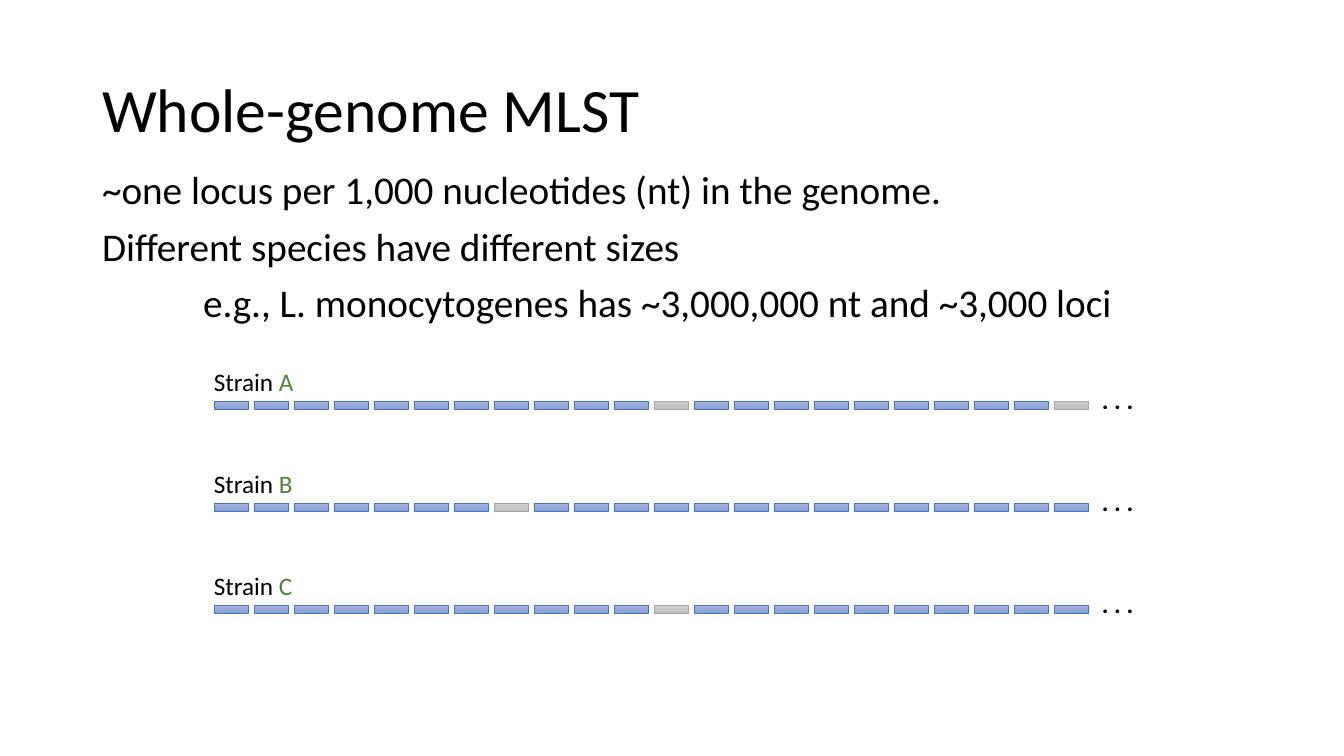
from copy import deepcopy

from pptx import Presentation
from pptx.dml.color import RGBColor
from pptx.enum.shapes import MSO_SHAPE
from pptx.enum.text import MSO_ANCHOR, MSO_AUTO_SIZE, PP_ALIGN
from pptx.oxml.ns import qn
from pptx.util import Emu, Pt

BLACK = RGBColor(0x00, 0x00, 0x00)
GREEN = RGBColor(0x54, 0x82, 0x35)
BLUE_LINE = RGBColor(0x44, 0x72, 0xC4)
GREY_LINE = RGBColor(0xA5, 0xA5, 0xA5)
BLUES = [RGBColor(0xA8, 0xB7, 0xDF), RGBColor(0x9A, 0xAB, 0xD9), RGBColor(0x88, 0x9E, 0xD7)]
GREYS = [RGBColor(0xD2, 0xD2, 0xD2), RGBColor(0xC8, 0xC8, 0xC8), RGBColor(0xC0, 0xC0, 0xC0)]


def px(*lengths):
    """Turn pixels, at 100.8 to the inch, into EMU."""
    return [Emu(round(n * 914400 / 100.8)) for n in lengths]


def add_run(p, text, size, color=BLACK):
    r = p.add_run()
    r.text = text
    r.font.name = "Calibri"
    r.font.size = Pt(size)
    r.font.color.rgb = color
    return r


prs = Presentation()
prs.slide_width, prs.slide_height = px(1344, 756)
slide = prs.slides.add_slide(prs.slide_layouts[1])

# Title and list
title = slide.shapes.title
title.left, title.top, title.width, title.height = px(92, 40, 1159, 146)
title.text_frame.vertical_anchor = MSO_ANCHOR.MIDDLE
p = title.text_frame.paragraphs[0]
p.alignment = PP_ALIGN.LEFT
p.line_spacing = 0.9
add_run(p, "Whole-genome MLST", 44)

body = slide.placeholders[1]
body.left, body.top, body.width, body.height = px(92, 166, 1159, 514)
tf = body.text_frame
lines = [
    ("~one locus per 1,000 nucleotides (nt) in the genome.", 0),
    ("Different species have different sizes", 0),
    ("e.g., L. monocytogenes has ~3,000,000 nt and ~3,000 loci", 101),
]
for i, (text, indent) in enumerate(lines):
    p = tf.add_paragraph() if i else tf.paragraphs[0]
    pPr = p._p.get_or_add_pPr()
    pPr.set("marL", str(px(indent)[0]))
    pPr.set("indent", "0")
    pPr.append(pPr.makeelement(qn("a:buNone"), {}))
    p.line_spacing = 0.9
    p.space_before = Pt(10 if i else 0)
    add_run(p, text, 28)

# One row of loci per strain, with the missing loci in grey
LOCI = 22
ROW_PITCH = 102
strains = [("A", {11, 21}), ("B", {7}), ("C", {11})]
for row, (strain, missing) in enumerate(strains):
    y = 401 + row * ROW_PITCH
    group = slide.shapes.add_group_shape()
    for i in range(LOCI):
        sp = group.shapes.add_shape(MSO_SHAPE.RECTANGLE, *px(214 + 40 * i, y, 34, 8))
        sp.shadow.inherit = False
        sp.fill.gradient()
        sp.fill.gradient_angle = 270
        gs_list = sp._element.spPr.find(qn("a:gradFill")).find(qn("a:gsLst"))
        gs_list.insert(1, deepcopy(gs_list[0]))
        shades = GREYS if i in missing else BLUES
        for stop, position, shade in zip(sp.fill.gradient_stops, (0, 0.5, 1), shades):
            stop.position = position
            stop.color.rgb = shade
        sp.line.color.rgb = GREY_LINE if i in missing else BLUE_LINE
        sp.line.width = Pt(0.5)

    dots = group.shapes.add_textbox(*px(1092, y - 22, 93, 40))
    label = slide.shapes.add_textbox(*px(204, y - 40, 130, 40))
    for box in (dots, label):
        box.text_frame.word_wrap = True
        box.text_frame.auto_size = MSO_AUTO_SIZE.SHAPE_TO_FIT_TEXT

    r = add_run(dots.text_frame.paragraphs[0], "...", 18)
    r.font.bold = True
    r._r.get_or_add_rPr().set("spc", "400")

    p = label.text_frame.paragraphs[0]
    add_run(p, "Strain ", 18)
    add_run(p, strain, 18, GREEN)

prs.save("out.pptx")
